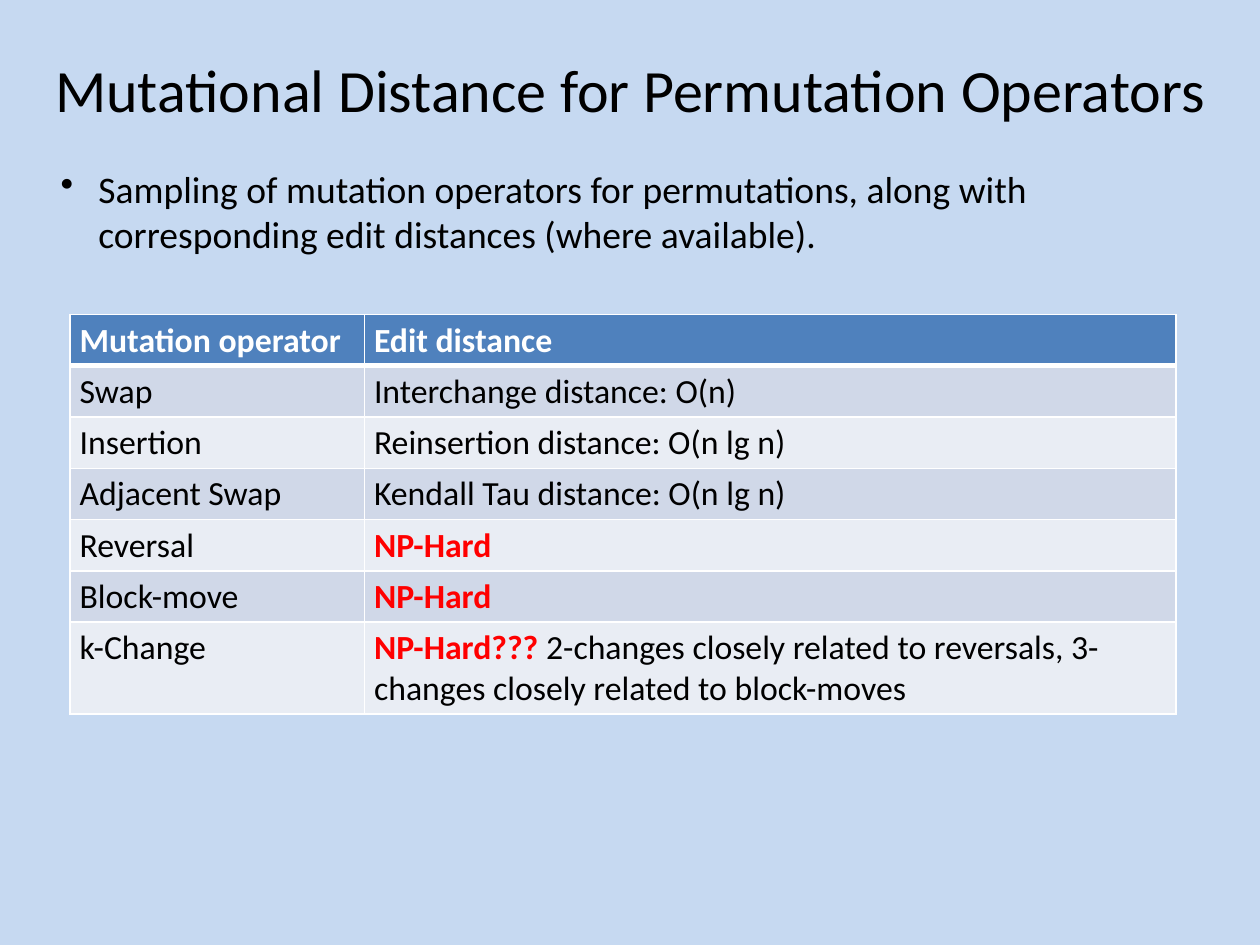
import dataclasses

import lxml.etree
import pptx
import pptx.dml.color
import pptx.enum.text
import pptx.oxml.ns
import pptx.util

Inches = pptx.util.Inches
Pt = pptx.util.Pt
qn = pptx.oxml.ns.qn


@dataclasses.dataclass(frozen=True)
class Theme:
    """Colours, font and type sizes of the slide."""
    font: str = "Calibri"
    back: str = "C6D9F1"
    ink: str = "000000"
    alert: str = "FF0000"
    white: str = "FFFFFF"
    head: str = "4F81BD"
    bands: tuple = ("D0D8E8", "E9EDF4")
    title: int = 32
    body: int = 20
    cell: int = 18


THEME = Theme()

TITLE = "Mutational Distance for Permutation Operators"
POINT = ("Sampling of mutation operators for permutations, along with "
         "corresponding edit distances (where available).")
# Each row: operator, alert text, plain text
HEAD = ("Mutation operator", "", "Edit distance")
ROWS = [
    ("Swap", "", "Interchange distance: O(n)"),
    ("Insertion", "", "Reinsertion distance: O(n lg n)"),
    ("Adjacent Swap", "", "Kendall Tau distance: O(n lg n)"),
    ("Reversal", "NP-Hard", ""),
    ("Block-move", "NP-Hard", ""),
    ("k-Change", "NP-Hard??? ", "2-changes closely related to reversals, "
     "3-changes closely related to block-moves"),
]


def rgb(code):
    """Turn a hex code into a colour."""
    return pptx.dml.color.RGBColor.from_string(code)


def style(font, size, color, bold=False):
    """Set the look of a font."""
    font.name = THEME.font
    font.size = Pt(size)
    font.bold = bold
    font.color.rgb = rgb(color)


def add_title(slide, box):
    """Place the slide title in the box."""
    title = slide.shapes.title
    title.left, title.top, title.width, title.height = map(Inches, box)
    frame = title.text_frame
    frame.text = TITLE
    frame.word_wrap = True
    frame.auto_size = pptx.enum.text.MSO_AUTO_SIZE.NONE
    frame.vertical_anchor = pptx.enum.text.MSO_ANCHOR.MIDDLE
    para = frame.paragraphs[0]
    para.alignment = pptx.enum.text.PP_ALIGN.CENTER
    style(para.font, THEME.title, THEME.ink)


def add_point(slide, box):
    """Place the bulleted statement in the box."""
    frame = slide.shapes.add_textbox(*map(Inches, box)).text_frame
    frame.word_wrap = True
    para = frame.paragraphs[0]
    para.text = POINT
    para.space_before = Pt(4)
    style(para.font, THEME.body, THEME.ink)
    props = para._p.get_or_add_pPr()
    props.set("marL", str(Inches(0.28)))
    props.set("indent", str(Inches(-0.28)))
    bullet = lxml.etree.Element(qn("a:buChar"), char="\u2022")
    props.find(qn("a:defRPr")).addprevious(bullet)


def add_edges(cell, widths):
    """Draw white cell borders; widths run left, right, top, bottom."""
    props = cell._tc.get_or_add_tcPr()
    for place, (side, width) in enumerate(zip("LRTB", widths)):
        line = lxml.etree.Element(qn(f"a:ln{side}"), w=str(Pt(width)))
        fill = lxml.etree.SubElement(line, qn("a:solidFill"))
        lxml.etree.SubElement(fill, qn("a:srgbClr"), val=THEME.white)
        props.insert(place, line)


def fill_cell(cell, parts, fill, edges):
    """Write (text, colour, bold) parts into a filled, bordered cell."""
    cell.margin_left = cell.margin_right = Inches(0.07)
    cell.margin_top = cell.margin_bottom = Inches(0.04)
    cell.fill.solid()
    cell.fill.fore_color.rgb = rgb(fill)
    para = cell.text_frame.paragraphs[0]
    parts = [part for part in parts if part[0]]
    for text, color, bold in parts:
        run = para.add_run()
        run.text = text
        font = run.font if len(parts) > 1 else para.font
        style(font, THEME.cell, color, bold)
    add_edges(cell, edges)


def add_grid(slide, box, split, line):
    """Place the operator table; split is the first column's width."""
    rows = [HEAD] + ROWS
    table = slide.shapes.add_table(len(rows), 2, *map(Inches, box)).table
    table.columns[0].width = Inches(split)
    table.columns[1].width = Inches(box[2] - split)
    for row in table.rows:
        row.height = Inches(line)
    table.rows[len(rows) - 1].height = Inches(0.53)
    for i, (name, alert, plain) in enumerate(rows):
        top = i == 0
        color = THEME.white if top else THEME.ink
        fill = THEME.head if top else THEME.bands[(i - 1) % 2]
        edges = (1, 1, 3 if i == 1 else 1, 3 if top else 1)
        fill_cell(table.cell(i, 0), [(name, color, top)], fill, edges)
        parts = [(alert, THEME.alert, True), (plain, color, top)]
        fill_cell(table.cell(i, 1), parts, fill, edges)


def main():
    """Build and save the slide."""
    deck = pptx.Presentation()
    deck.slide_width, deck.slide_height = Inches(9.33), Inches(7)
    slide = deck.slides.add_slide(deck.slide_layouts[5])
    slide.background.fill.solid()
    slide.background.fill.fore_color.rgb = rgb(THEME.back)
    add_title(slide, (0.28, 0.28, 8.78, 0.75))
    add_point(slide, (0.35, 1.18, 8.64, 4.76))
    add_grid(slide, (0.52, 2.33, 8.19, 2.33), split=2.18, line=0.3)
    deck.save("out.pptx")


main()
